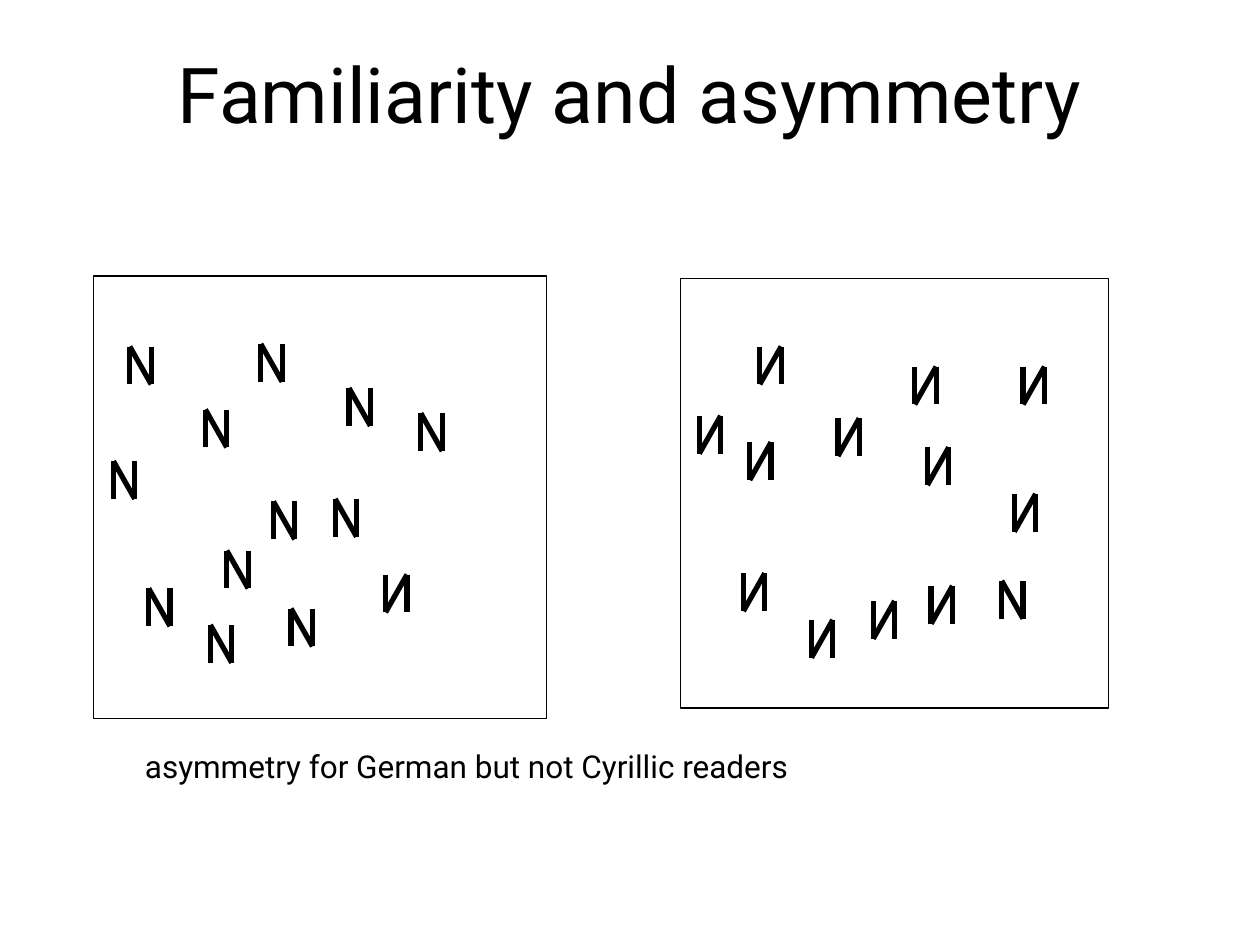
import pptx
import pptx.util
import pptx.dml.color
import pptx.enum.shapes
import pptx.enum.text
import pptx.oxml.ns
import lxml.etree

Inches = pptx.util.Inches
BLACK = pptx.dml.color.RGBColor(0, 0, 0)
WHITE = pptx.dml.color.RGBColor(255, 255, 255)
FONT = "Roboto"
WIDE, TALL = 0.17, 0.3

LEFT = [(0.29, 0.56), (0.89, 1.06), (0.93, 2.77), (0.16, 1.47),
        (1.33, 0.54), (1.57, 2.64), (1.92, 1.77), (2.03, 0.89),
        (1.06, 2.18), (1.43, 1.79), (0.44, 2.48), (2.6, 1.09)]
RIGHT = [(0.63, 0.54), (1.25, 1.11), (1.04, 2.71), (1.86, 0.7),
         (1.99, 2.44), (2.65, 1.71), (0.15, 1.09), (0.55, 1.3),
         (0.5, 2.34), (2.72, 0.7), (1.53, 2.56), (1.96, 1.34)]


def add_text(slide, box, text, size, align=pptx.enum.text.PP_ALIGN.LEFT,
             anchor=pptx.enum.text.MSO_ANCHOR.TOP, inset=0.1):
    """Place one line of text in a box given in inches."""
    frame = slide.shapes.add_textbox(*map(Inches, box)).text_frame
    frame.word_wrap = True
    frame.vertical_anchor = anchor
    frame.margin_left = Inches(inset)
    para = frame.paragraphs[0]
    para.alignment = align
    run = para.add_run()
    run.text = text
    run.font.size = pptx.util.Pt(size)
    run.font.name = FONT
    run.font.color.rgb = BLACK


def add_line(group, start, end):
    """Draw one stroke of a letter."""
    line = group.shapes.add_connector(
        pptx.enum.shapes.MSO_CONNECTOR.STRAIGHT, *map(Inches, start + end))
    line.line.color.rgb = BLACK
    line.line.width = pptx.util.Pt(3)
    lxml.etree.SubElement(line._element.spPr, pptx.oxml.ns.qn("a:effectLst"))


def add_glyph(slide, x, y, mirror):
    """Draw an N, or its mirror image, as a group of three strokes."""
    group = slide.shapes.add_group_shape()
    near, far = (x + WIDE, x) if mirror else (x, x + WIDE)
    for top, foot in ((near, near), (far, far), (near, far)):
        add_line(group, (top, y), (foot, y + TALL))


def add_panel(slide, box, spots, odd, mirror):
    """Draw a search panel of like letters with one odd letter out."""
    frame = slide.shapes.add_shape(
        pptx.enum.shapes.MSO_SHAPE.RECTANGLE, *map(Inches, box))
    frame.shadow.inherit = False
    frame.fill.solid()
    frame.fill.fore_color.rgb = WHITE
    frame.line.color.rgb = BLACK
    frame.line.width = pptx.util.Pt(0.75)
    left, top = box[:2]
    for x, y in spots:
        add_glyph(slide, left + x, top + y, mirror)
    add_glyph(slide, left + odd[0], top + odd[1], not mirror)


def main():
    """Build the slide and save it."""
    deck = pptx.Presentation()
    deck.slide_width, deck.slide_height = Inches(10), Inches(7.5)
    slide = deck.slides.add_slide(deck.slide_layouts[6])
    add_text(slide, (0.75, 0.31, 8.5, 0.85), "Familiarity and asymmetry", 44,
             align=pptx.enum.text.PP_ALIGN.CENTER,
             anchor=pptx.enum.text.MSO_ANCHOR.MIDDLE)
    add_panel(slide, (0.74, 2.19, 3.6, 3.51), LEFT, (2.32, 2.37), False)
    add_panel(slide, (5.4, 2.21, 3.4, 3.41), RIGHT, (2.55, 2.4), True)
    add_text(slide, (0.31, 5.88, 9.69, 1.37),
             "asymmetry for German but not Cyrillic readers", 18, inset=0.84)
    deck.save("out.pptx")


if __name__ == "__main__":
    main()
